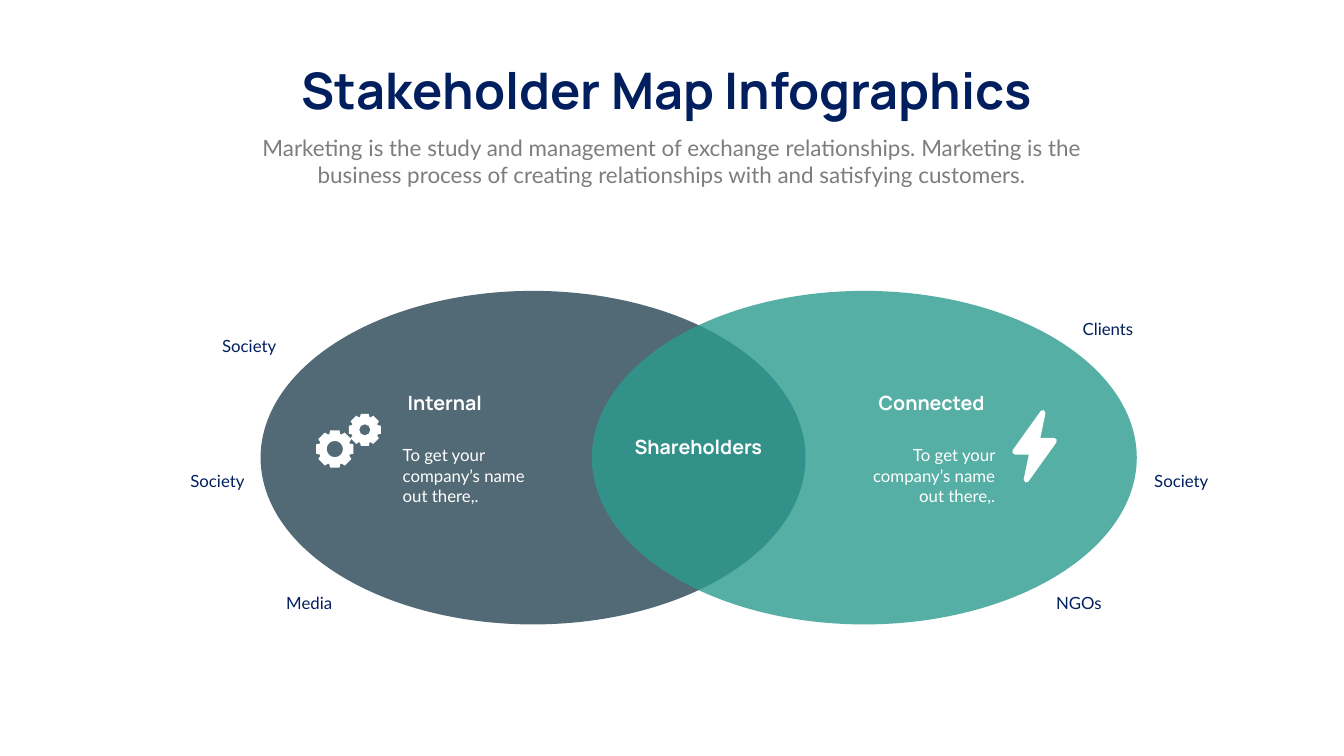
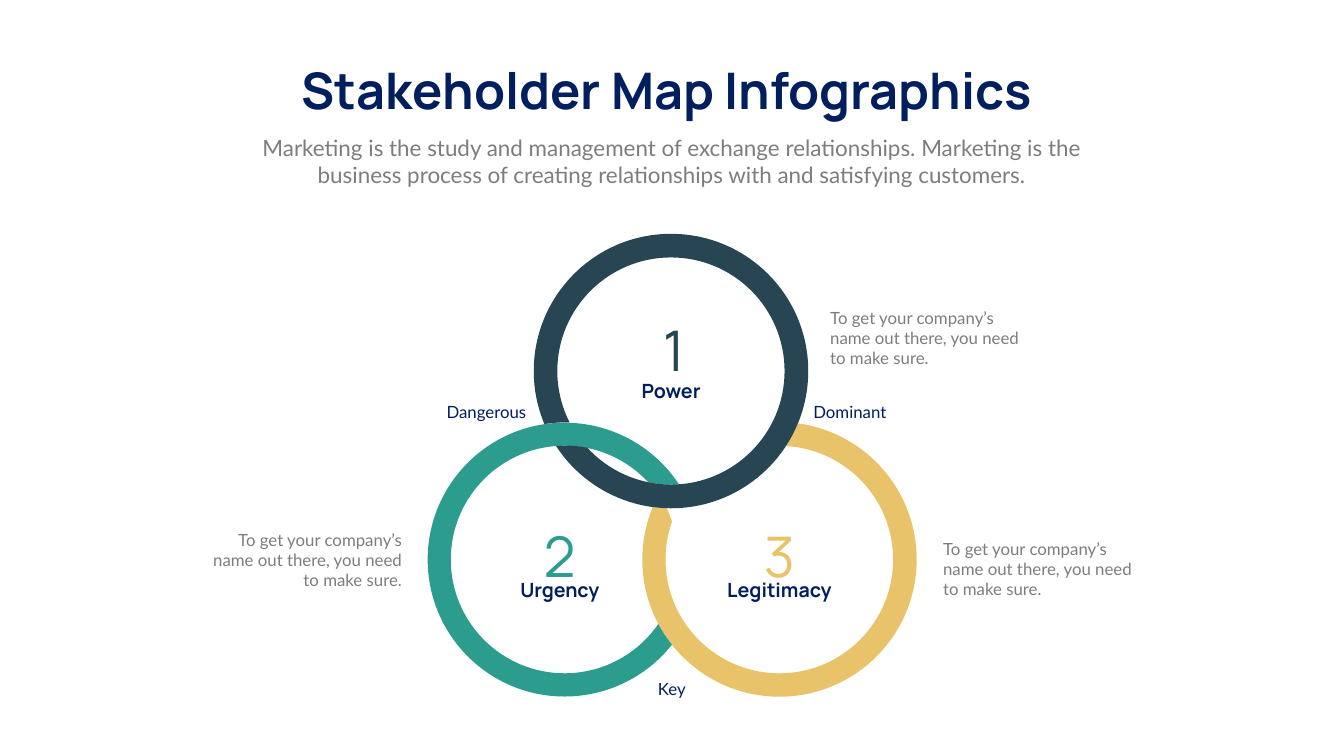
import itertools
import math

import lxml.etree
import pptx
import pptx.dml.color
import pptx.enum.shapes
import pptx.enum.text
import pptx.oxml.ns
import pptx.util

Cm = pptx.util.Cm
Pt = pptx.util.Pt
RGBColor = pptx.dml.color.RGBColor
qn = pptx.oxml.ns.qn
ALIGN = pptx.enum.text.PP_ALIGN
LEFT, CENTER, RIGHT = ALIGN.LEFT, ALIGN.CENTER, ALIGN.RIGHT

NAVY = RGBColor(0x01, 0x1F, 0x5E)
GRAY = RGBColor(0x7E, 0x7C, 0x7F)
SLATE = RGBColor(0x27, 0x45, 0x53)
TEAL = RGBColor(0x2B, 0x9C, 0x8E)
SAND = RGBColor(0xE8, 0xC3, 0x69)
WHITE = RGBColor(0xFF, 0xFF, 0xFF)

# Text styles: font attributes
TITLE = {"name": "Manrope", "size": Pt(72), "bold": True}
HEADING = {"name": "Manrope", "size": Pt(28), "bold": True}
NUMBER = {"name": "Manrope", "size": Pt(80)}
SUBTITLE = {"name": "Lato", "size": Pt(32)}
BODY = {"name": "Lato", "size": Pt(24)}

# Box heights in centimetres
HEADING_HEIGHT, LABEL_HEIGHT, BODY_HEIGHT, NUMBER_HEIGHT = 1.45, 1.27, 3.33, 3.68

TITLE_BOX = (13.46, 2.84, 40.79, 3.33)
SUBTITLE_BOX = (11.64, 6.63, 44.42, 3)
VENN_BOX = (13.13, 14.66, 44.15, 16.81)
RINGS_BOX = (21.54, 11.79, 24.66, 23.34)


def inside(region, left, top, width=0, height=0):
    """Return a box whose place is counted from the region's corner."""
    return region[0] + left, region[1] + top, width, height


def add_text(page, box, text, style, color, align=LEFT, wrap=True):
    frame = page.shapes.add_textbox(*map(Cm, box)).text_frame
    frame.word_wrap = wrap
    frame.auto_size = pptx.enum.text.MSO_AUTO_SIZE.SHAPE_TO_FIT_TEXT
    para = frame.paragraphs[0]
    para.alignment = align
    span = para.add_run()
    span.text = text
    for name, value in style.items():
        setattr(span.font, name, value)
    span.font.color.rgb = color


def paint(shape, color, opacity=100):
    shape.shadow.inherit = False
    shape.fill.solid()
    shape.fill.fore_color.rgb = color
    shape.line.fill.background()
    if opacity < 100:
        tone = shape.element.spPr.find(".//" + qn("a:srgbClr"))
        alpha = lxml.etree.SubElement(tone, qn("a:alpha"))
        alpha.set("val", str(opacity * 1000))


def add_outline(page, region, contours, color):
    """Draw closed contours as one shape.

    A contour is a start and its segments: one point for a line, three for a curve.
    """
    builder = None
    for start, segments in contours:
        points = [(Cm(region[0] + x), Cm(region[1] + y))
                  for x, y in itertools.chain([start], *segments)]
        if builder is None:
            builder = page.shapes.build_freeform(*points[0], scale=1.0)
        else:
            builder.move_to(*points[0])
        builder.add_line_segments(points[1:], close=True)
    shape = builder.convert_to_shape()
    paint(shape, color)

    # Merge the three lines of each curved segment into a Bezier curve
    outline = next(shape.element.iter(qn("a:path")))
    lines = iter(outline.findall(qn("a:lnTo")))
    for segment in itertools.chain.from_iterable(parts for _, parts in contours):
        group = list(itertools.islice(lines, len(segment)))
        if len(group) == 3:
            curve = outline.makeelement(qn("a:cubicBezTo"))
            group[0].addprevious(curve)
            for line in group:
                curve.append(line[0])
                outline.remove(line)


def polar(center, radius, angle):
    return center[0] + radius * math.cos(angle), center[1] + radius * math.sin(angle)


def arc(center, start, end, clockwise):
    """Curved segments around center from start to end, split at the quadrants."""
    first, last = (math.atan2(y - center[1], x - center[0]) for x, y in (start, end))
    if clockwise and last <= first:
        last += math.tau
    if not clockwise and last >= first:
        last -= math.tau
    low, high = min(first, last), max(first, last)
    quadrants = [i * math.pi / 2 for i in range(-6, 7)]
    angles = [low, *(turn for turn in quadrants if low + 0.05 < turn < high - 0.05), high]
    if not clockwise:
        angles.reverse()

    near, far = math.dist(center, start), math.dist(center, end)
    segments = []
    for begin, stop in itertools.pairwise(angles):
        radii = [near + (far - near) * (turn - first) / (last - first)
                 for turn in (begin, stop)]
        pull = 4 / 3 * math.tan((stop - begin) / 4)
        x, y = polar(center, radii[0], begin)
        end_x, end_y = polar(center, radii[1], stop)
        segments.append((
            polar((x, y), pull * radii[0], begin + math.pi / 2),
            polar((end_x, end_y), -pull * radii[1], stop + math.pi / 2),
            (end_x, end_y)))
    return segments


def polygon(points):
    return points[0], [(point,) for point in points[1:]]


def add_heading_block(page):
    add_text(page, TITLE_BOX, "Stakeholder Map Infographics ", TITLE, NAVY, CENTER, wrap=False)
    add_text(page, SUBTITLE_BOX,
             "Marketing is the study and management of exchange relationships. Marketing is the "
             "business process of creating relationships with and satisfying customers.",
             SUBTITLE, GRAY, CENTER)


# Icons
def add_gears(page, region):
    contours = []
    for center, radius, hole in (((0.97, 1.8), 0.97, 0.41), ((2.48, 0.83), 0.83, 0.28)):
        corners = ((-20, 0.83), (-14, 1), (14, 1), (20, 0.83))
        contours.append(polygon([polar(center, radius * ratio, math.radians(45 * tooth + turn))
                                 for tooth in range(8) for turn, ratio in corners]))
        edge = polar(center, hole, 0)
        contours.append((edge, arc(center, edge, edge, False)))
    add_outline(page, region, contours, WHITE)


def add_bolt(page, region):
    half = [(1.45, 0.05), (0.03, 2.03), (0.02, 2.18), (0.15, 2.26),
            (0.84, 2.26), (0.58, 3.51), (0.66, 3.66)]
    other_half = [(2.26 - x, 3.68 - y) for x, y in half]
    add_outline(page, region, [polygon(half + other_half)], WHITE)


def add_venn(page, region):
    # Overlapping ellipses
    group = page.shapes.add_group_shape()
    width = 27.46
    for left, color in ((0, SLATE), (region[2] - width, TEAL)):
        box = inside(region, left, 0, width, region[3])
        ellipse = group.shapes.add_shape(
            pptx.enum.shapes.MSO_SHAPE.OVAL, *map(Cm, box))
        paint(ellipse, color, opacity=80)

    # Names of the three areas
    for text, left, top, width, align in (
            ("Internal", 7.16, 4.9, 7.16, LEFT),
            ("Connected", 30.23, 4.9, 7.16, CENTER),
            ("Shareholders", 17.7, 7.14, 8.71, CENTER)):
        add_text(page, inside(region, left, top, width, HEADING_HEIGHT),
                 text, HEADING, WHITE, align)
    for left, align in ((6.91, LEFT), (30.12, RIGHT)):
        add_text(page, inside(region, left, 7.65, 7.14, BODY_HEIGHT),
                 "To get your company’s name out there,.", BODY, WHITE, align)

    # Labels around the ellipses
    for text, left, top, align in (
            ("Society", -5.51, 2.13, RIGHT), ("Society", -7.11, 8.94, RIGHT),
            ("Media", -2.69, 15.11, RIGHT), ("Clients", 41.17, 1.3, LEFT),
            ("Society", 44.78, 8.94, LEFT), ("NGOs", 39.83, 15.11, LEFT)):
        add_text(page, inside(region, left, top, 6.55, LABEL_HEIGHT), text, BODY, NAVY, align)

    add_gears(page, inside(region, 2.77, 6.17))
    add_bolt(page, inside(region, 37.87, 5.99))


def add_interlocked_rings(page, region):
    power, urgency, legitimacy = (12.27, 6.91), (6.91, 16.41), (17.73, 16.41)
    # Each ring: color, first corner, then (arc center, next corner, clockwise)
    rings = (
        (SAND, (18.67, 9.55), (
            (legitimacy, (11.35, 13.77), True), (power, (12.04, 13.79), False),
            (urgency, (12.32, 14.5), True), (legitimacy, (18.06, 10.69), False),
            (power, (18.67, 9.55), False))),
        (TEAL, (12.67, 12.62), (
            (urgency, (12.32, 20.7), False), (legitimacy, (11.63, 19.66), True),
            (urgency, (11.13, 12.52), True), (power, (12.67, 12.62), False))),
        (SLATE, (5.89, 9.58), (
            (power, (6.48, 10.69), True), (urgency, (8.05, 10.77), True),
            (power, (7.16, 9.5), False), (urgency, (5.89, 9.58), False))),
    )
    for color, start, arcs in rings:
        corner, segments = start, []
        for center, end, clockwise in arcs:
            segments += arc(center, corner, end, clockwise)
            corner = end
        add_outline(page, region, [(start, segments)], color)


def add_rings(page, region):
    add_interlocked_rings(page, region)

    # Names and numbers inside the rings
    for text, left, top in (("Power", 8.48, 7.19), ("Urgency", 2.87, 17.2),
                            ("Legitimacy", 13.94, 17.2)):
        add_text(page, inside(region, left, top, 7.59, HEADING_HEIGHT),
                 text, HEADING, NAVY, CENTER)
    for text, left, top, width, color in (
            ("1", 11.61, 3.99, 1.32, SLATE), ("2", 5.59, 14.38, 2.13, TEAL),
            ("3", 16.61, 14.38, 2.24, SAND)):
        add_text(page, inside(region, left, top, width, NUMBER_HEIGHT),
                 text, NUMBER, color, CENTER, wrap=False)

    # Labels at the crossings
    for text, left, top, width, align in (
            ("Dangerous", 0.71, 8.31, 5.64, LEFT), ("Dominant", 17.73, 8.31, 5.64, RIGHT),
            ("Key", 10.92, 22.3, 2.79, CENTER)):
        add_text(page, inside(region, left, top, width, LABEL_HEIGHT), text, BODY, NAVY, align)

    # Notes beside the rings
    for left, top, width, align in ((-11.4, 14.78, 10.36, RIGHT), (20.04, 3.58, 10.54, LEFT),
                                    (25.73, 15.21, 10.54, LEFT)):
        add_text(page, inside(region, left, top, width, BODY_HEIGHT),
                 "To get your company’s name out there, you need to make sure.",
                 BODY, GRAY, align)


def main():
    deck = pptx.Presentation()
    deck.slide_width, deck.slide_height = Cm(67.72), Cm(38.1)
    for add_diagram, region in ((add_venn, VENN_BOX), (add_rings, RINGS_BOX)):
        page = deck.slides.add_slide(deck.slide_layouts[6])
        add_diagram(page, region)
        add_heading_block(page)
    deck.save("out.pptx")


if __name__ == "__main__":
    main()
